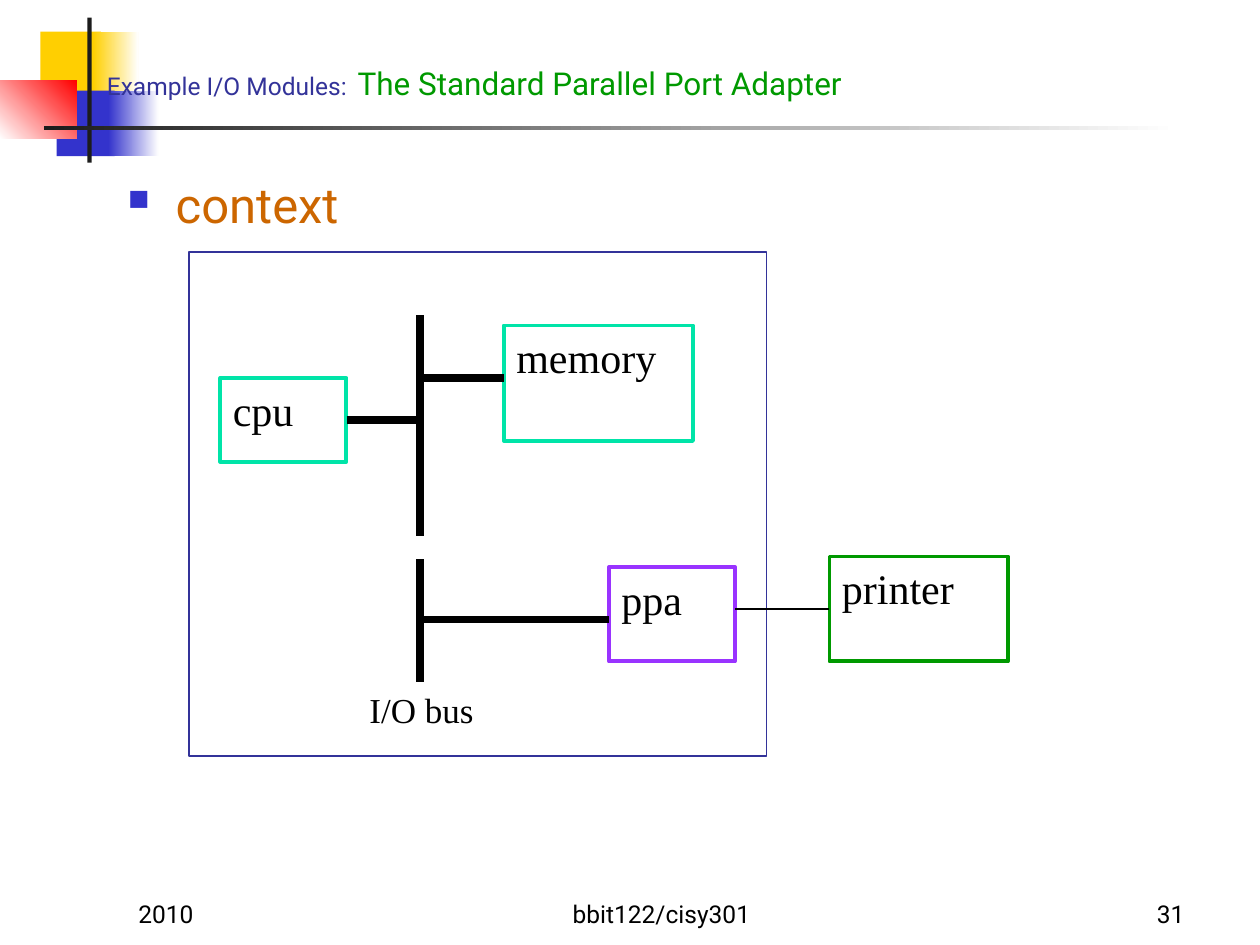
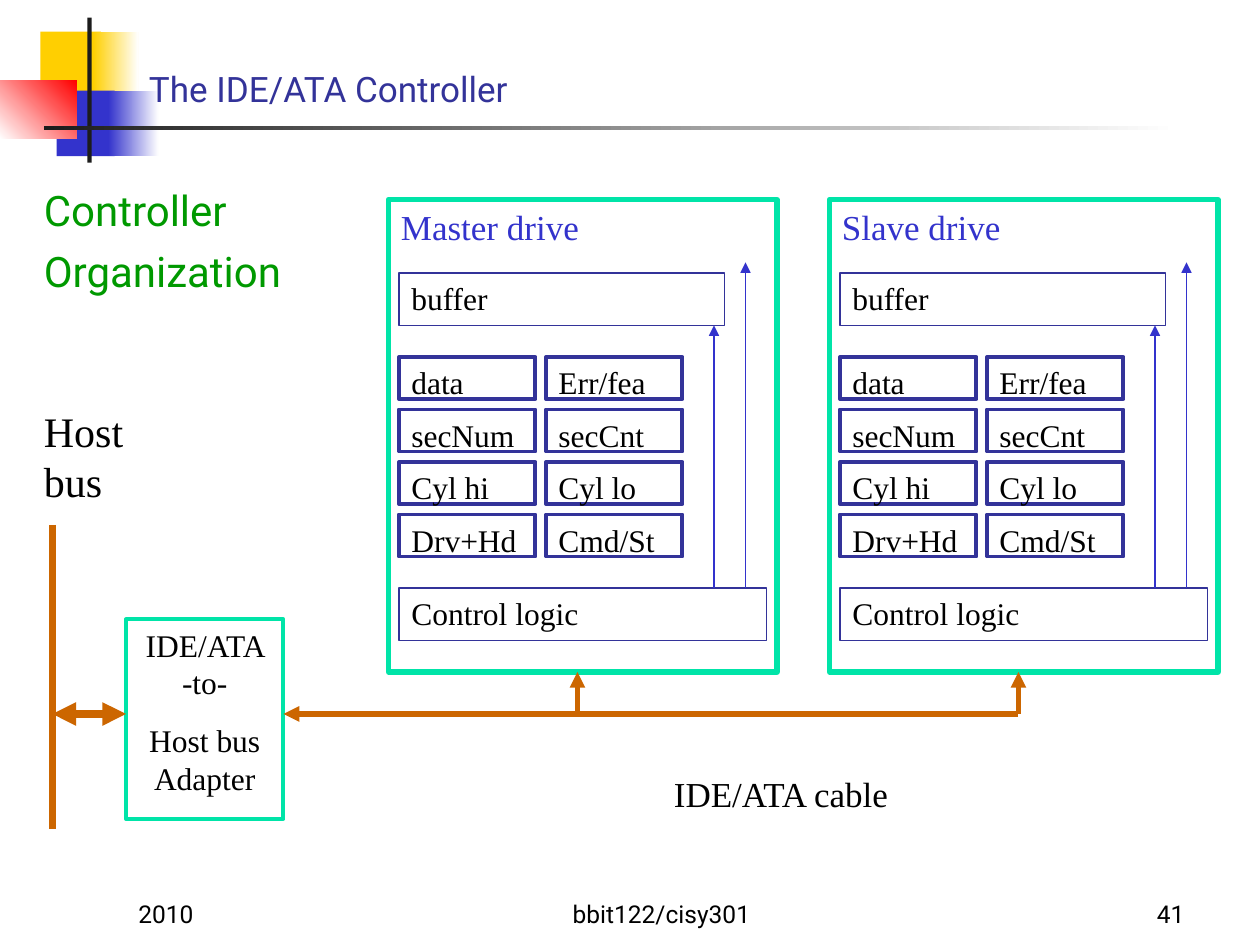
"""Build two slides on I/O modules on a grid of 120 columns by 90 rows."""
import pptx
import pptx.util
import pptx.dml.color
import pptx.enum.dml
import pptx.enum.shapes
import pptx.enum.text
import pptx.oxml
import pptx.oxml.ns

TONES = {
    "black": "000000", "white": "FFFFFF", "coal": "1C1C1C",
    "gold": "FFCF01", "red": "FF0000", "blue": "3333CC",
    "navy": "333399", "mint": "00E4A8", "green": "009900",
    "plum": "9933FF", "rust": "CC6600",
}
SANS, SERIF = "Roboto", "Times New Roman"
ALIGN = pptx.enum.text.PP_ALIGN
ANCHOR = pptx.enum.text.MSO_ANCHOR
RECT = pptx.enum.shapes.MSO_SHAPE.RECTANGLE
CELLS = [("data", "Err/fea"), ("secNum", "secCnt"),
         ("Cyl hi", "Cyl lo"), ("Drv+Hd", "Cmd/St")]


def grid(*spans):
    """Turn grid counts into lengths."""
    return [pptx.util.Inches(span / 12) for span in spans]


def tone(name):
    """Look up a colour."""
    return pptx.dml.color.RGBColor.from_string(TONES[name])


def style(run, size, hue, font):
    """Set the font of a run."""
    run.font.size = pptx.util.Pt(size)
    run.font.name = font
    run.font.color.rgb = tone(hue)


def write(shape, text, size, hue="black", font=SERIF, align=ALIGN.LEFT,
          anchor=ANCHOR.TOP, gap=0):
    """Fill a shape with styled text."""
    frame = shape.text_frame
    frame.word_wrap = True
    frame.vertical_anchor = anchor
    frame.text = text
    for spot, para in enumerate(frame.paragraphs):
        para.alignment = align
        if spot:
            para.space_before = pptx.util.Pt(gap)
        for run in para.runs:
            style(run, size, hue, font)


def note(slide, area, text, size, *look, **more):
    """Add a text box."""
    shape = slide.shapes.add_textbox(*grid(*area))
    write(shape, text, size, *look, **more)
    return shape


def box(slide, area, hue, width, text="", size=18, ink="black", **more):
    """Add an outlined box with optional text."""
    shape = slide.shapes.add_shape(RECT, *grid(*area))
    shape.shadow.inherit = False
    shape.fill.background()
    shape.line.color.rgb = tone(hue)
    shape.line.width = pptx.util.Pt(width)
    if text:
        write(shape, text, size, ink, **more)


def block(slide, area, start, end=None, angle=0):
    """Add a plain or graded block without outline."""
    shape = slide.shapes.add_shape(RECT, *grid(*area))
    shape.shadow.inherit = False
    shape.line.fill.background()
    if end is None:
        shape.fill.solid()
        shape.fill.fore_color.rgb = tone(start)
        return
    shape.fill.gradient()
    shape.fill.gradient_angle = angle
    for stop, hue in zip(shape.fill.gradient_stops, (start, end)):
        stop.color.rgb = tone(hue)


def add_tag(parent, tag, **attrs):
    """Append a drawing tag to an element."""
    child = pptx.oxml.parse_xml(f"<a:{tag} {pptx.oxml.ns.nsdecls('a')}/>")
    for key, value in attrs.items():
        child.set(key, value)
    parent.append(child)
    return child


def wire(slide, ends, hue, width, tips=(), dash=False):
    """Add a straight line with optional arrow tips."""
    kind = pptx.enum.shapes.MSO_CONNECTOR.STRAIGHT
    link = slide.shapes.add_connector(kind, *grid(*ends))
    link.line.color.rgb = tone(hue)
    link.line.width = pptx.util.Pt(width)
    if dash:
        link.line.dash_style = pptx.enum.dml.MSO_LINE.DASH
    for tip in tips:
        add_tag(link.get_or_add_ln(), tip, type="triangle")
    add_tag(link.element.spPr, "effectLst")


def bullet(para, hue):
    """Give a paragraph a small square bullet."""
    props = para._p.get_or_add_pPr()
    indent = pptx.util.Inches(0.38)
    props.set("marL", str(indent))
    props.set("indent", str(-indent))
    add_tag(add_tag(props, "buClr"), "srgbClr", val=TONES[hue])
    add_tag(props, "buSzPct", val="60000")
    add_tag(props, "buChar", char="■")


def new_slide(deck, page):
    """Start a slide with the shared emblem, rule and footer."""
    slide = deck.slides.add_slide(deck.slide_layouts[6])
    block(slide, (3.84, 3, 5.76, 6.24), "gold")
    block(slide, (8.88, 3, 4.32, 6.24), "gold", "white")
    block(slide, (5.4, 8.64, 5.52, 6.24), "blue")
    block(slide, (10.32, 8.64, 4.8, 6.24), "blue", "white")
    block(slide, (0, 7.68, 7.32, 5.52), "white", "red", 45)
    block(slide, (8.32, 1.68, 0.42, 13.8), "coal")
    block(slide, (4.2, 12, 108, 0.4), "coal", "white")
    for left, width, text, align in [
            (12, 25, "2010", ALIGN.LEFT),
            (44, 38, "bbit122/cisy301", ALIGN.CENTER),
            (89, 25, page, ALIGN.RIGHT)]:
        note(slide, (left, 83, width, 6), text, 14, font=SANS,
             align=align, anchor=ANCHOR.BOTTOM)
    return slide


def port_slide(deck):
    """Show how the parallel port adapter sits on the bus."""
    slide = new_slide(deck, "31")
    title = note(slide, (9, 3, 102, 9), "Example I/O Modules:", 14,
                 "navy", SANS, anchor=ANCHOR.MIDDLE)
    for text, size, hue in [(" ", 24, "navy"),
                            ("The Standard Parallel Port Adapter", 18, "green")]:
        run = title.text_frame.paragraphs[0].add_run()
        run.text = text
        style(run, size, hue, SANS)
    topic = note(slide, (11, 16, 42, 9), "context", 28, "rust", SANS)
    bullet(topic.text_frame.paragraphs[0], "blue")

    box(slide, (18, 24, 55, 48), "navy", 0.75)
    for area, hue, text in [((21, 36, 12, 8), "mint", "cpu"),
                            ((48, 31, 18, 11), "mint", "memory"),
                            ((58, 54, 12, 9), "plum", "ppa"),
                            ((79, 53, 17, 10), "green", "printer")]:
        box(slide, area, hue, 2.25, text, 24)
    bus = 40
    for left, right, row in [(bus, 48, 36), (33, bus, 40), (bus, 58, 59)]:
        wire(slide, (left, row, right, row), "black", 4.5)
    for top, low, dash in [(30, 48, False), (48, 54, True), (54, 65, False)]:
        wire(slide, (bus, top, bus, low), "black", 4.5, dash=dash)
    wire(slide, (70, 58, 79, 58), "black", 0.75)
    note(slide, (34, 65, 14, 5.28), "I/O bus", 20)


def drive(slide, left, name):
    """Draw one drive with its buffer, registers and control logic."""
    for row, pair in enumerate(CELLS):
        for col, text in enumerate(pair):
            box(slide, (left + 1 + 14 * col, 34 + 5 * row, 13, 4),
                "navy", 2.25, text)
    box(slide, (left + 1, 26, 31, 5), "navy", 0.75, "buffer")
    box(slide, (left + 1, 56, 35, 5), "navy", 0.75, "Control logic")
    box(slide, (left, 19, 37, 45), "mint", 3, name, 20, "blue")
    for shift, top in [(31, 31), (34, 25)]:
        wire(slide, (left + shift, 56, left + shift, top), "blue", 0.75,
             ["tailEnd"])
    wire(slide, (left + 18, 68, left + 18, 64), "rust", 3, ["tailEnd"])


def drive_slide(deck):
    """Show the controller, its cable and both drives."""
    slide = new_slide(deck, "41")
    note(slide, (13, 3, 57, 8), "The IDE/ATA Controller", 20, "navy", SANS,
         anchor=ANCHOR.BOTTOM)
    note(slide, (3, 17, 29, 11), "Controller\nOrganization", 24, "green",
         SANS, gap=6)
    for left, name in [(37, "Master drive"), (79, "Slave drive")]:
        drive(slide, left, name)
    box(slide, (12, 59, 15, 19), "mint", 2.25,
        "IDE/ATA -to-\nHost bus Adapter", align=ALIGN.CENTER, gap=11.2)
    wire(slide, (27, 68, 97, 68), "rust", 3, ["headEnd"])
    wire(slide, (12, 68, 5, 68), "rust", 4.5, ["headEnd", "tailEnd"])
    wire(slide, (5, 50, 5, 79), "rust", 4.5)
    note(slide, (63, 73, 24, 5.28), "IDE/ATA cable", 20)
    note(slide, (3, 38, 12, 10.8), "Host bus", 24)


def main():
    """Build and save the deck."""
    deck = pptx.Presentation()
    deck.slide_width, deck.slide_height = grid(120, 90)
    port_slide(deck)
    drive_slide(deck)
    deck.save("out.pptx")


if __name__ == "__main__":
    main()
